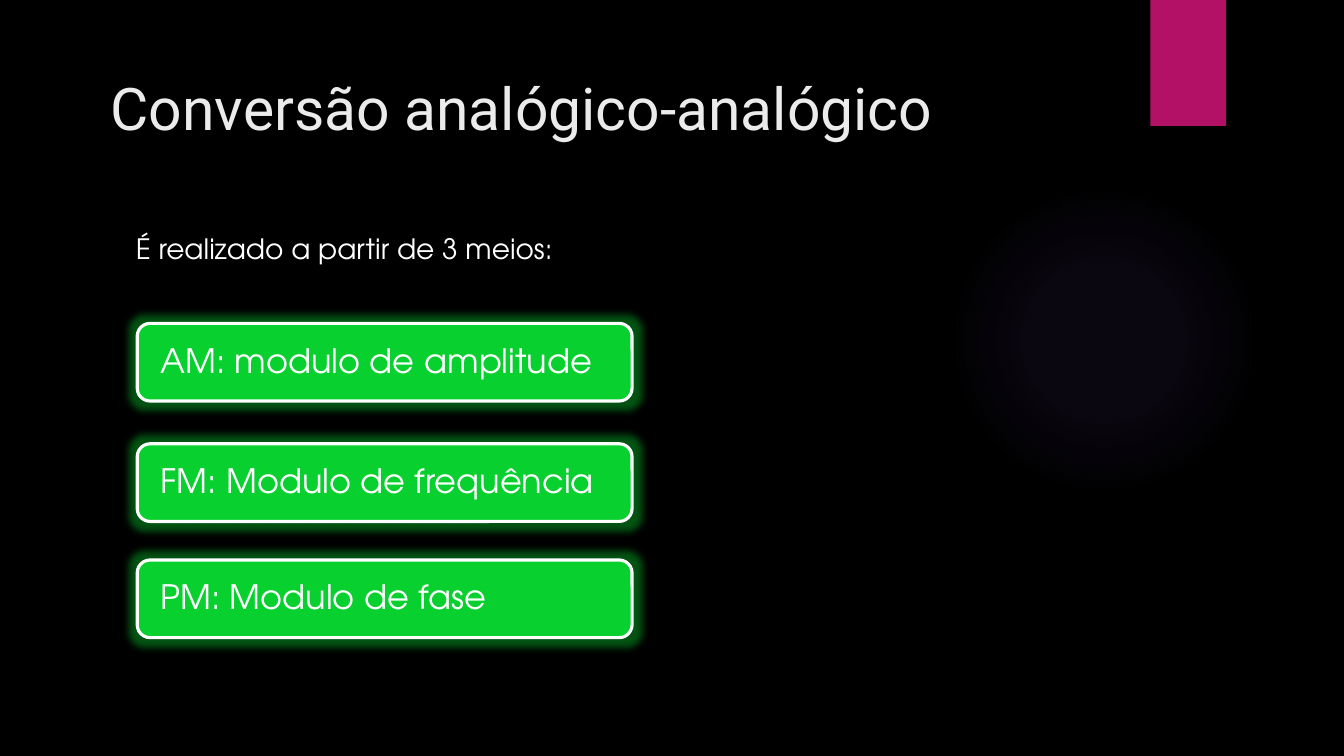
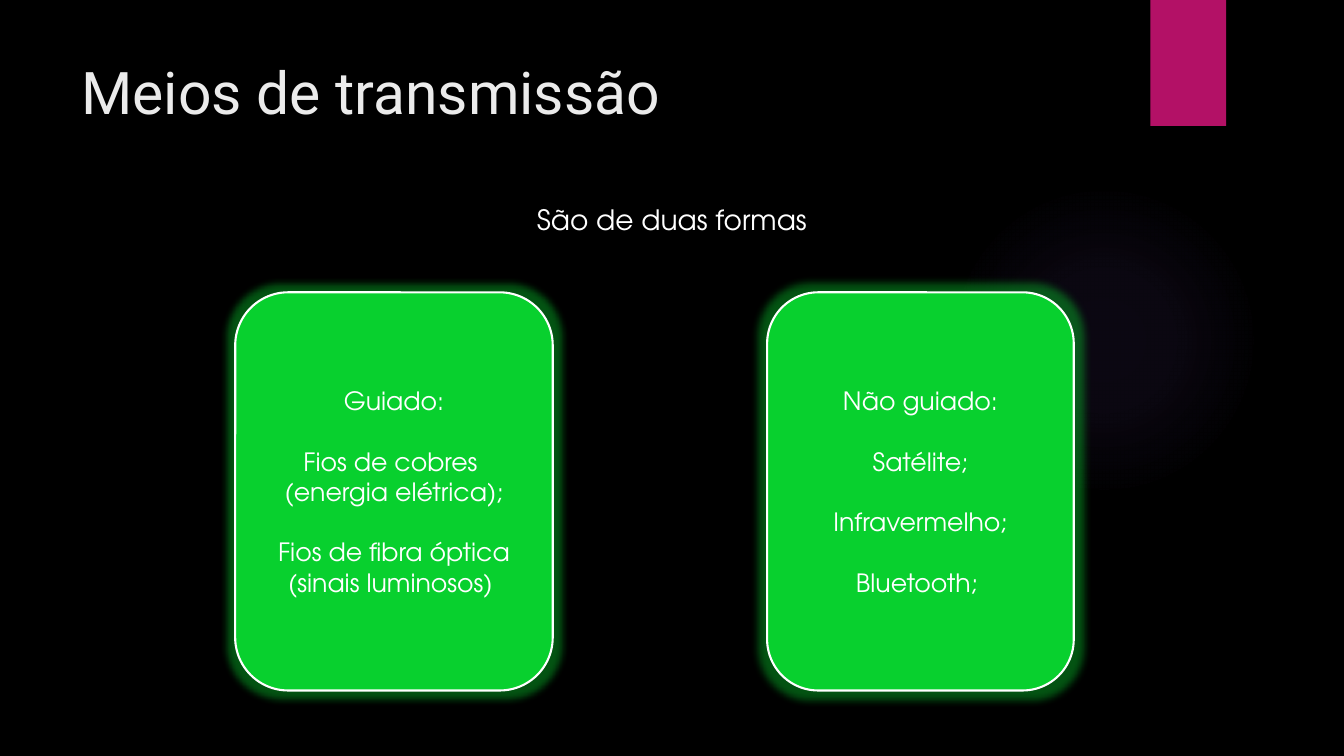
from lxml import etree
from pptx import Presentation
from pptx.dml.color import RGBColor
from pptx.enum.shapes import MSO_SHAPE
from pptx.enum.text import MSO_ANCHOR, PP_ALIGN
from pptx.oxml import parse_xml
from pptx.oxml.ns import nsdecls, qn
from pptx.util import Pt

BLACK = RGBColor(0x00, 0x00, 0x00)
WHITE = RGBColor(0xFF, 0xFF, 0xFF)
TITLE_GREY = RGBColor(0xEB, 0xEB, 0xEB)
MAGENTA = RGBColor(0xB3, 0x11, 0x66)
GREEN = RGBColor(0x08, 0xD0, 0x2E)
VIOLET = RGBColor(0x9B, 0x6B, 0xF2)

TITLE_FONT = "Roboto"
BODY_FONT = "TeX Gyre Adventor"
HALO_STOPS = ((0, 7), (36, 6), (69, 0))
GLOW_RADIUS = Pt(11)
CARD_GAP = 21.6


def style_text(tf, size, font, color, align):
    for p in tf.paragraphs:
        p.alignment = align
        for r in p.runs:
            r.font.size = Pt(size)
            r.font.name = font
            r.font.color.rgb = color


def add_shape(s, kind, left, top, width, height, color):
    sp = s.shapes.add_shape(kind, Pt(left), Pt(top), Pt(width), Pt(height))
    sp.shadow.inherit = False
    sp.fill.solid()
    sp.fill.fore_color.rgb = color
    sp.line.fill.background()
    return sp


def add_halo(s):
    sp = add_shape(s, MSO_SHAPE.OVAL, 677.5, 131.8, 221.8, 221.8, VIOLET)
    stops = "".join(
        f'<a:gs pos="{pos * 1000}"><a:srgbClr val="{VIOLET}">'
        f'<a:alpha val="{alpha * 1000}"/></a:srgbClr></a:gs>'
        for pos, alpha in HALO_STOPS)
    gradient = parse_xml(
        f'<a:gradFill {nsdecls("a")}><a:gsLst>{stops}</a:gsLst><a:path path="circle">'
        '<a:fillToRect l="50000" t="50000" r="50000" b="50000"/></a:path></a:gradFill>')
    spPr = sp.fill._xPr
    spPr.replace(spPr.find(qn("a:solidFill")), gradient)


def add_glow(sp):
    effects = sp._element.spPr.find(qn("a:effectLst"))
    glow = etree.SubElement(effects, qn("a:glow"), rad=str(GLOW_RADIUS))
    color = etree.SubElement(glow, qn("a:srgbClr"), val=str(GREEN))
    etree.SubElement(color, qn("a:alpha"), val="40000")


def add_text(s, left, top, width, height, content, size, font, color, align=PP_ALIGN.LEFT):
    tf = s.shapes.add_textbox(Pt(left), Pt(top), Pt(width), Pt(height)).text_frame
    tf.word_wrap = True
    tf.text = content
    style_text(tf, size, font, color, align)


def add_box(s, left, top, width, height, content, size, align, line_width):
    sp = add_shape(s, MSO_SHAPE.ROUNDED_RECTANGLE, left, top, width, height, GREEN)
    sp.line.color.rgb = WHITE
    sp.line.width = Pt(line_width)
    add_glow(sp)
    tf = sp.text_frame
    tf.word_wrap = True
    tf.vertical_anchor = MSO_ANCHOR.MIDDLE
    tf.text = content
    style_text(tf, size, BODY_FONT, WHITE, align)
    return tf


def add_bar(s, top, content):
    tf = add_box(s, 98, top, 353.5, 55.5, content, 24, PP_ALIGN.LEFT, 2.25)
    tf.margin_left = tf.margin_right = Pt(14)
    tf.margin_top = tf.margin_bottom = 0
    tf.paragraphs[0].line_spacing = 0.9


def add_card(s, left, width, items):
    tf = add_box(s, left, 208.8, width, 284.4, "\n".join(items), 18, PP_ALIGN.CENTER, 1.5)
    for p in tf.paragraphs[1:]:
        p.space_before = Pt(CARD_GAP)


def add_slide(prs, title, left, top, width, height):
    s = prs.slides.add_slide(prs.slide_layouts[6])
    s.background.fill.solid()
    s.background.fill.fore_color.rgb = BLACK
    add_halo(s)
    add_shape(s, MSO_SHAPE.RECTANGLE, 821.8, 0, 54, 90, MAGENTA)
    add_text(s, left, top, width, height, title, 42, TITLE_FONT, TITLE_GREY)
    return s


def build_conversion(prs):
    s = add_slide(prs, "Conversão analógico-analógico", 72, 48, 815, 76)
    add_text(s, 90, 162, 704, 40, "É realizado a partir de 3 meios:", 20, BODY_FONT, WHITE)
    bars = (
        (231, "AM: modulo de amplitude"),
        (317, "FM: Modulo de frequência"),
        (400, "PM: Modulo de fase"),
    )
    for top, content in bars:
        add_bar(s, top, content)


def build_media(prs):
    s = add_slide(prs, "Meios de transmissão", 51, 36, 741, 110)
    add_text(s, 72, 141, 816, 40, "São de duas formas", 20, BODY_FONT, WHITE, PP_ALIGN.CENTER)
    add_card(s, 168, 226.8, (
        "Guiado:",
        "Fios de cobres \v(energia elétrica);",
        "Fios de fibra óptica\v(sinais luminosos) ",
    ))
    add_card(s, 548, 219, ("Não guiado:", "Satélite;", "Infravermelho;", "Bluetooth; "))


def main():
    prs = Presentation()
    prs.slide_width, prs.slide_height = Pt(960), Pt(540)
    build_conversion(prs)
    build_media(prs)
    prs.save("out.pptx")


if __name__ == "__main__":
    main()
